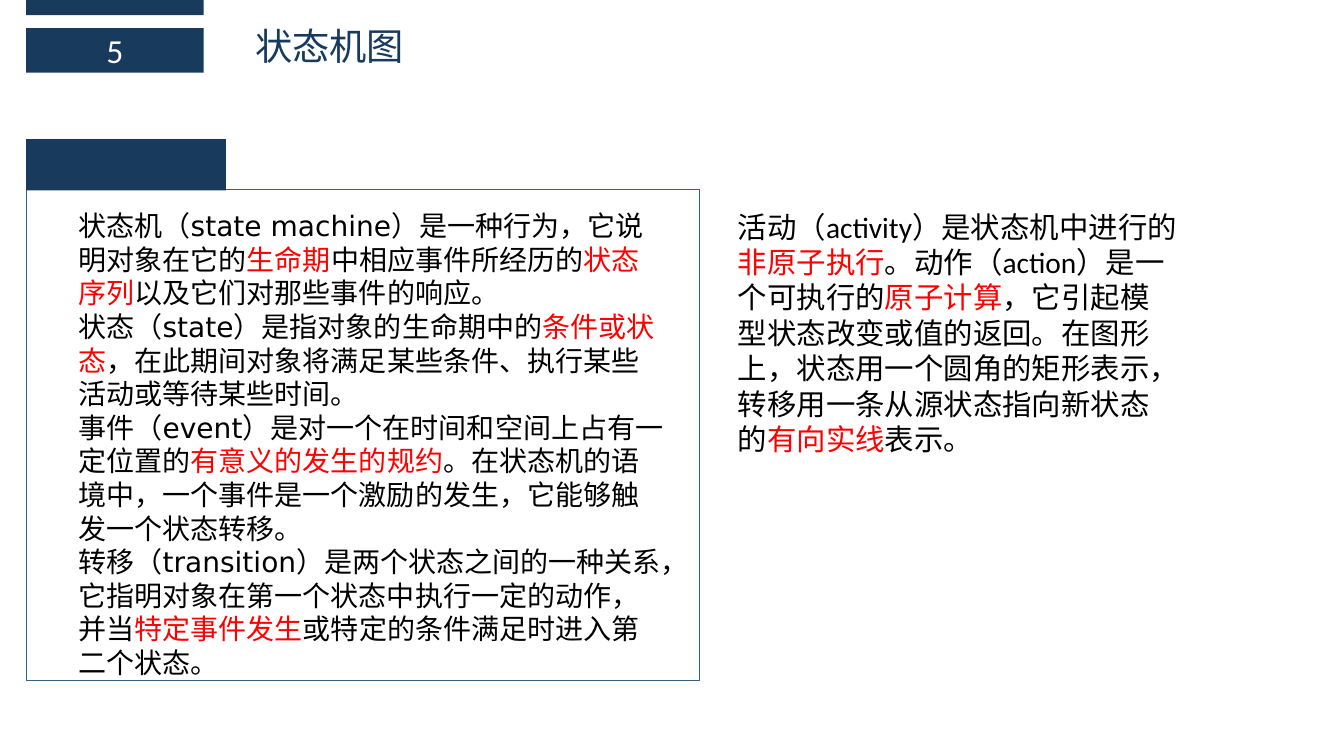
from pptx import Presentation
from pptx.dml.color import RGBColor
from pptx.enum.shapes import MSO_SHAPE
from pptx.enum.text import MSO_ANCHOR, PP_ALIGN
from pptx.oxml.ns import qn
from pptx.util import Inches, Pt
from lxml import etree

NAVY = RGBColor(0x18, 0x3A, 0x5D)
EDGE = RGBColor(0x34, 0x61, 0x82)
RED = RGBColor(0xFF, 0, 0)
BLACK = RGBColor(0, 0, 0)
WHITE = RGBColor(0xFF, 0xFF, 0xFF)
HAN = "Noto Sans CJK SC"

# Key terms stand between bars
TERMS = [
    "状态机（state machine）是一种行为，它说明对象在它的|生命期|中相应事件所经历的|状态序列|以及它们对那些事件的响应。",
    "状态（state）是指对象的生命期中的|条件或状态|，在此期间对象将满足某些条件、执行某些活动或等待某些时间。",
    "事件（event）是对一个在时间和空间上占有一定位置的|有意义的发生的规约|。在状态机的语境中，"
    "一个事件是一个激励的发生，它能够触发一个状态转移。",
    "转移（transition）是两个状态之间的一种关系，它指明对象在第一个状态中执行一定的动作，并当|特定事件发生|"
    "或特定的条件满足时进入第二个状态。",
]
ACTIONS = [
    "活动（activity）是状态机中进行的|非原子执行|。动作（action）是一个可执行的|原子计算|，它引起模型状态改变或值的返回。"
    "在图形上，状态用一个圆角的矩形表示，转移用一条从源状态指向新状态的|有向实线|表示。",
]


def set_font(para, size, name, color):
    font = para.font
    font.size, font.name = Pt(size), name
    font.color.rgb = color
    props = para._p.get_or_add_pPr().find(qn("a:defRPr"))
    etree.SubElement(props, qn("a:ea")).set("typeface", HAN)


def add_rect(slide, x, y, w, h, fill=None):
    rect = slide.shapes.add_shape(
        MSO_SHAPE.RECTANGLE, Inches(x), Inches(y), Inches(w), Inches(h))
    rect.shadow.inherit = False
    if fill is None:
        rect.fill.background()
        rect.line.color.rgb = EDGE
        rect.line.width = Pt(1)
    else:
        rect.fill.solid()
        rect.fill.fore_color.rgb = fill
        rect.line.fill.background()
    return rect


def add_prose(slide, x, y, w, h, texts, size, name, pitch):
    box = slide.shapes.add_textbox(Inches(x), Inches(y), Inches(w), Inches(h))
    frame = box.text_frame
    frame.word_wrap = True
    for i, text in enumerate(texts):
        para = frame.paragraphs[0] if i == 0 else frame.add_paragraph()
        set_font(para, size, name, BLACK)
        para.line_spacing = Pt(pitch)
        for j, part in enumerate(text.split("|")):
            run = para.add_run()
            run.text = part
            if j % 2:
                run.font.color.rgb = RED


def add_header(slide, x, y, w):
    # Page tab
    add_rect(slide, x, y, w, 0.15, NAVY)
    tab = add_rect(slide, x, y + 0.28, w, 0.44, NAVY)
    frame = tab.text_frame
    frame.vertical_anchor = MSO_ANCHOR.MIDDLE
    para = frame.paragraphs[0]
    para.text = "5"
    para.alignment = PP_ALIGN.CENTER
    set_font(para, 24, "Calibri", WHITE)

    # Title
    title = slide.shapes.title
    title.left, title.top = Inches(x + 2.17), Inches(y + 0.17)
    title.width, title.height = Inches(6.62), Inches(0.55)
    title.text_frame.vertical_anchor = MSO_ANCHOR.TOP
    para = title.text_frame.paragraphs[0]
    para.text = "状态机图"
    para.alignment = PP_ALIGN.LEFT
    para.line_spacing = Pt(32.4)
    set_font(para, 26.6, HAN, NAVY)


def add_panel(slide, x, y, w, h):
    # Framed definitions with a tab on top
    add_prose(slide, x + 0.42, y + 0.64, w - 0.64, h - 0.56,
              TERMS, 20, "DejaVu Sans", 24)
    add_rect(slide, x, y + 0.5, w, h - 0.5)
    add_rect(slide, x, y, 1.98, 0.51, NAVY)


def main():
    deck = Presentation()
    deck.slide_width, deck.slide_height = Inches(13.33), Inches(7.5)
    slide = deck.slides.add_slide(deck.slide_layouts[5])
    add_header(slide, 0.26, 0, 1.76)
    add_panel(slide, 0.26, 1.38, 6.68, 5.37)
    # Activities and actions
    add_prose(slide, 7.22, 2.02, 4.57, 2.57, ACTIONS, 21, "Calibri", 25.3)
    deck.save("out.pptx")


if __name__ == "__main__":
    main()
